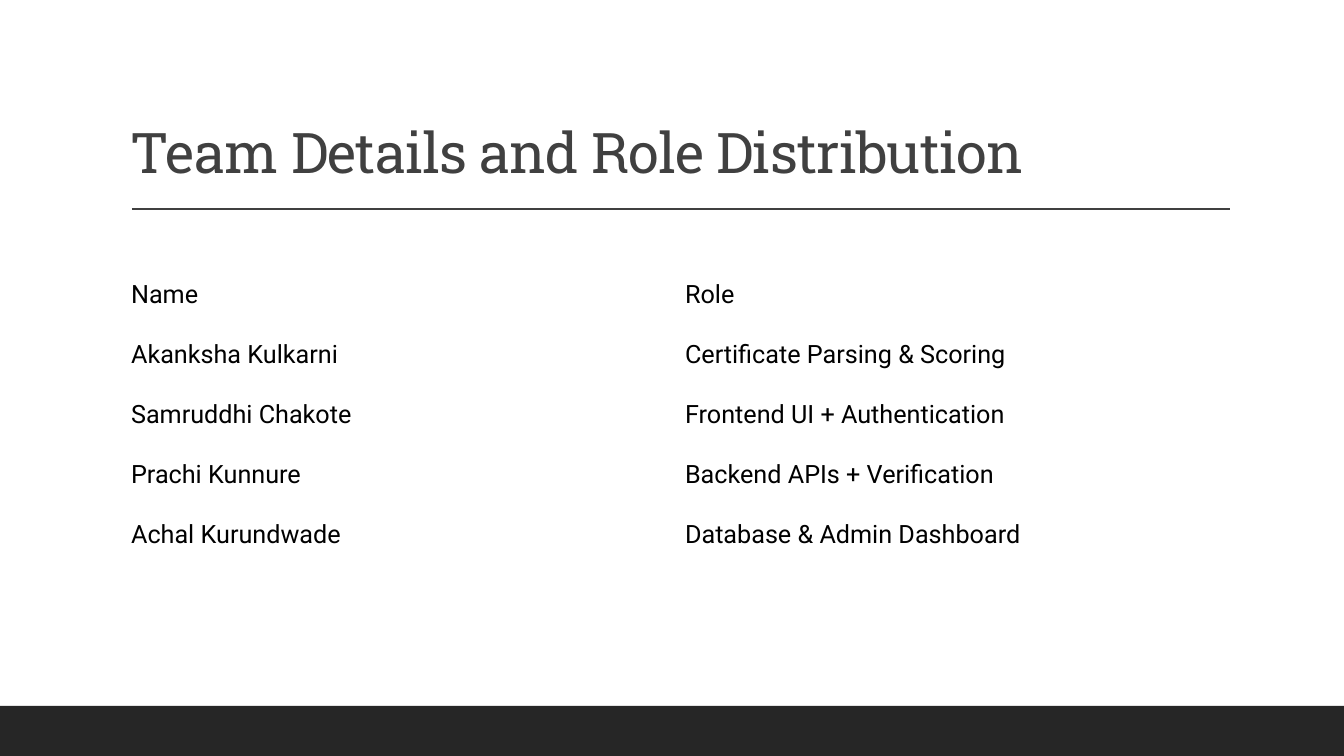
"""Build the team and role slide."""
from lxml import etree
from pptx import Presentation
from pptx.dml.color import RGBColor
from pptx.enum.shapes import MSO_CONNECTOR, MSO_SHAPE
from pptx.enum.text import MSO_ANCHOR
from pptx.oxml.ns import qn
from pptx.util import Emu, Pt

TITLE = "Team Details and Role Distribution"
TEAM = [
    ("Name", "Role"),
    ("Akanksha Kulkarni", "Certificate Parsing & Scoring"),
    ("Samruddhi Chakote", "Frontend UI + Authentication"),
    ("Prachi Kunnure", "Backend APIs + Verification"),
    ("Achal Kurundwade", "Database & Admin Dashboard"),
]
THEME = {
    "bar": RGBColor.from_string("262626"),
    "rule": RGBColor.from_string("404040"),
    "width": Pt(1),
    "title": {"name": "Roboto Slab", "size": Pt(40), "color": "404040"},
    "body": {"name": "Roboto", "size": Pt(18), "color": "000000"},
}
RECT, LINE = MSO_SHAPE.RECTANGLE, MSO_CONNECTOR.STRAIGHT
MIDDLE, BOTTOM = MSO_ANCHOR.MIDDLE, MSO_ANCHOR.BOTTOM
SCALE = 914400 / 100.8
WIDE, HIGH, BAR = 1344, 756, 50
LEFT, COL, ROW = 121, 554, 60


def px(*spans):
    return [Emu(round(span * SCALE)) for span in spans]


def write(frame, text, style):
    para = frame.paragraphs[0]
    run = para.add_run()
    run.text = text
    for key, value in style.items():
        if key == "color":
            run.font.color.rgb = RGBColor.from_string(value)
        else:
            setattr(run.font, key, value)
    return para, run


def add_frame(shapes):
    bar = shapes.add_shape(RECT, *px(0, HIGH - BAR, WIDE, BAR))
    bar.shadow.inherit = False
    bar.fill.solid()
    bar.fill.fore_color.rgb = THEME["bar"]
    bar.line.fill.background()
    rule = shapes.add_connector(LINE, *px(132, 209, 1230, 209))
    rule.line.color.rgb = THEME["rule"]
    rule.line.width = THEME["width"]
    etree.SubElement(rule._element.spPr, qn("a:effectLst"))


def add_title(shapes):
    frame = shapes.add_textbox(*px(LEFT, 31, 2 * COL, 160)).text_frame
    frame.word_wrap = True
    frame.vertical_anchor = BOTTOM
    para, run = write(frame, TITLE, THEME["title"])
    para.line_spacing = 0.9
    run._r.get_or_add_rPr().set("spc", "-50")


def add_team(shapes):
    rows, cols = len(TEAM), len(TEAM[0])
    spot = px(LEFT, 265, cols * COL, rows * ROW)
    table = shapes.add_table(rows, cols, *spot).table
    for flag in ("first_row", "horz_banding"):
        setattr(table, flag, False)
    for cell, text in zip(table.iter_cells(), sum(TEAM, ())):
        cell.fill.background()
        cell.vertical_anchor = MIDDLE
        write(cell.text_frame, text, THEME["body"])


def main():
    deck = Presentation()
    deck.slide_width, deck.slide_height = px(WIDE, HIGH)
    shapes = deck.slides.add_slide(deck.slide_layouts[6]).shapes
    for add in (add_frame, add_title, add_team):
        add(shapes)
    deck.save("out.pptx")


if __name__ == "__main__":
    main()
